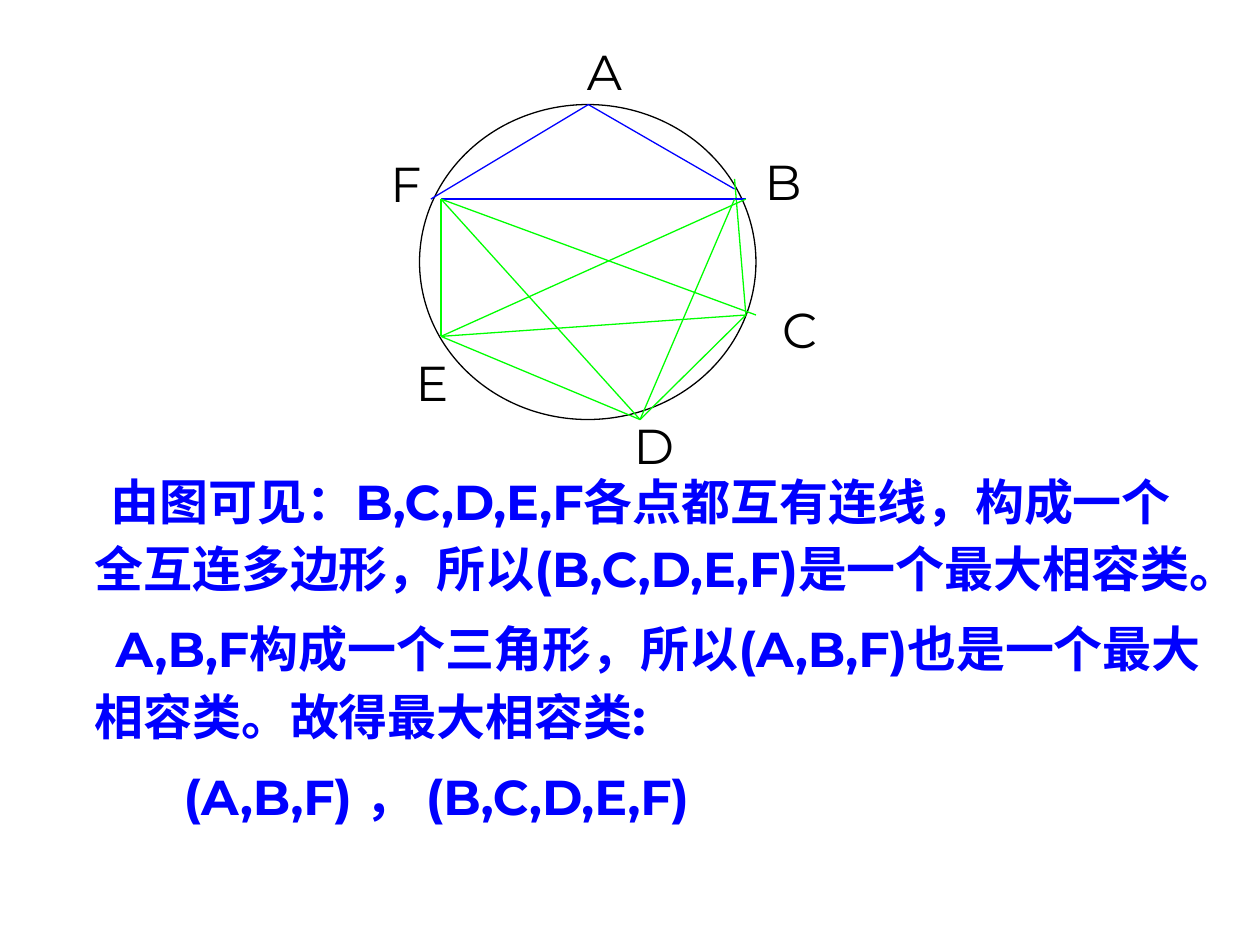
from lxml.etree import SubElement
from pptx import Presentation
from pptx.dml.color import RGBColor
from pptx.enum.shapes import MSO_CONNECTOR, MSO_SHAPE
from pptx.oxml.ns import qn
from pptx.util import Inches, Pt

BLACK, BLUE, GREEN = "000000", "0000FF", "00FF00"
FONT = "Montserrat"

CIRCLE = (3.33, 0.83, 2.67, 2.5)
EDGES = [
    (BLUE, (4.67, 0.83), (3.42, 1.58)),
    (BLUE, (4.67, 0.83), (5.83, 1.5)),
    (GREEN, (3.5, 1.58), (3.5, 2.67)),
    (GREEN, (3.5, 2.67), (5.08, 3.33)),
    (GREEN, (5.08, 3.33), (5.92, 2.5)),
    (GREEN, (5.92, 2.5), (5.83, 1.42)),
    (BLUE, (3.5, 1.58), (5.92, 1.58)),
    (GREEN, (3.5, 1.58), (5.08, 3.33)),
    (GREEN, (3.5, 2.67), (5.92, 1.58)),
    (GREEN, (5.08, 3.33), (5.83, 1.58)),
    (GREEN, (3.5, 1.58), (6, 2.5)),
    (GREEN, (3.5, 2.67), (5.92, 2.5)),
]
VERTICES = [
    ("A", 4.56, 0.28, 0.45),
    ("B", 5.97, 1.15, 0.45),
    ("C", 6.11, 2.33, 0.44),
    ("D", 4.93, 3.25, 0.48),
    ("E", 3.2, 2.75, 0.41),
    ("F", 3, 1.17, 0.63),
]
CONCLUSION = [
    ("由图可见：B,C,D,E,F各点都互有连线，构成一个全互连多边形，所以(B,C,D,E,F)是一个最大相容类。", 0.13),
    ("A,B,F构成一个三角形，所以(A,B,F)也是一个最大相容类。故得最大相容类:", 0.17),
    ("(A,B,F) ， (B,C,D,E,F)", 0.71),
]


def color(value):
    return RGBColor.from_string(value)


def style_line(shape, value):
    shape.line.color.rgb = color(value)
    shape.line.width = Pt(0.75)


def style_text(paragraph, value, bold=False):
    for run in paragraph.runs:
        run.font.name = FONT
        run.font.size = Pt(28)
        run.font.bold = bold
        run.font.color.rgb = color(value)


def add_edge(slide, value, start, end):
    edge = slide.shapes.add_connector(MSO_CONNECTOR.STRAIGHT, *map(Inches, start + end))
    style_line(edge, value)
    SubElement(edge._element.spPr, qn("a:effectLst"))


def add_vertex(slide, name, left, top, width):
    label = slide.shapes.add_textbox(*map(Inches, (left, top, width, 0.57)))
    paragraph = label.text_frame.paragraphs[0]
    paragraph.text = name
    style_text(paragraph, BLACK)


def add_conclusion(slide):
    box = slide.shapes.add_textbox(*map(Inches, (0.65, 3.62, 9.01, 3.6)))
    frame = box.text_frame
    frame.word_wrap = True
    frame.text = "\n".join(text for text, _ in CONCLUSION)
    for number, (paragraph, (_, indent)) in enumerate(zip(frame.paragraphs, CONCLUSION)):
        paragraph._p.get_or_add_pPr().set("indent", str(Inches(indent)))
        paragraph.line_spacing = 1.15
        paragraph.space_before = Pt(7 if number else 0)
        style_text(paragraph, BLUE, bold=True)


def main():
    presentation = Presentation()
    presentation.slide_width, presentation.slide_height = Inches(10), Inches(7.5)
    slide = presentation.slides.add_slide(presentation.slide_layouts[6])

    circle = slide.shapes.add_shape(MSO_SHAPE.OVAL, *map(Inches, CIRCLE))
    circle.shadow.inherit = False
    circle.fill.background()
    style_line(circle, BLACK)

    for edge in EDGES:
        add_edge(slide, *edge)
    for vertex in VERTICES:
        add_vertex(slide, *vertex)
    add_conclusion(slide)
    presentation.save("out.pptx")


if __name__ == "__main__":
    main()
